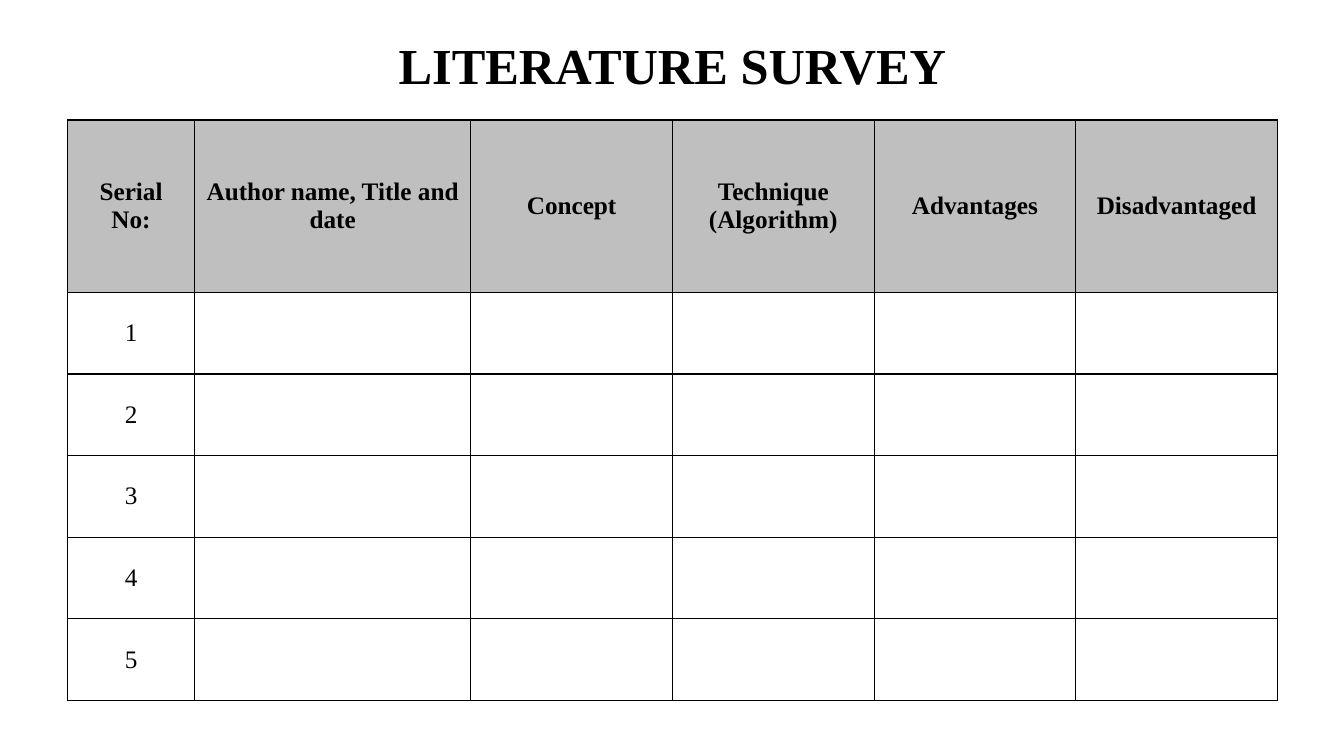
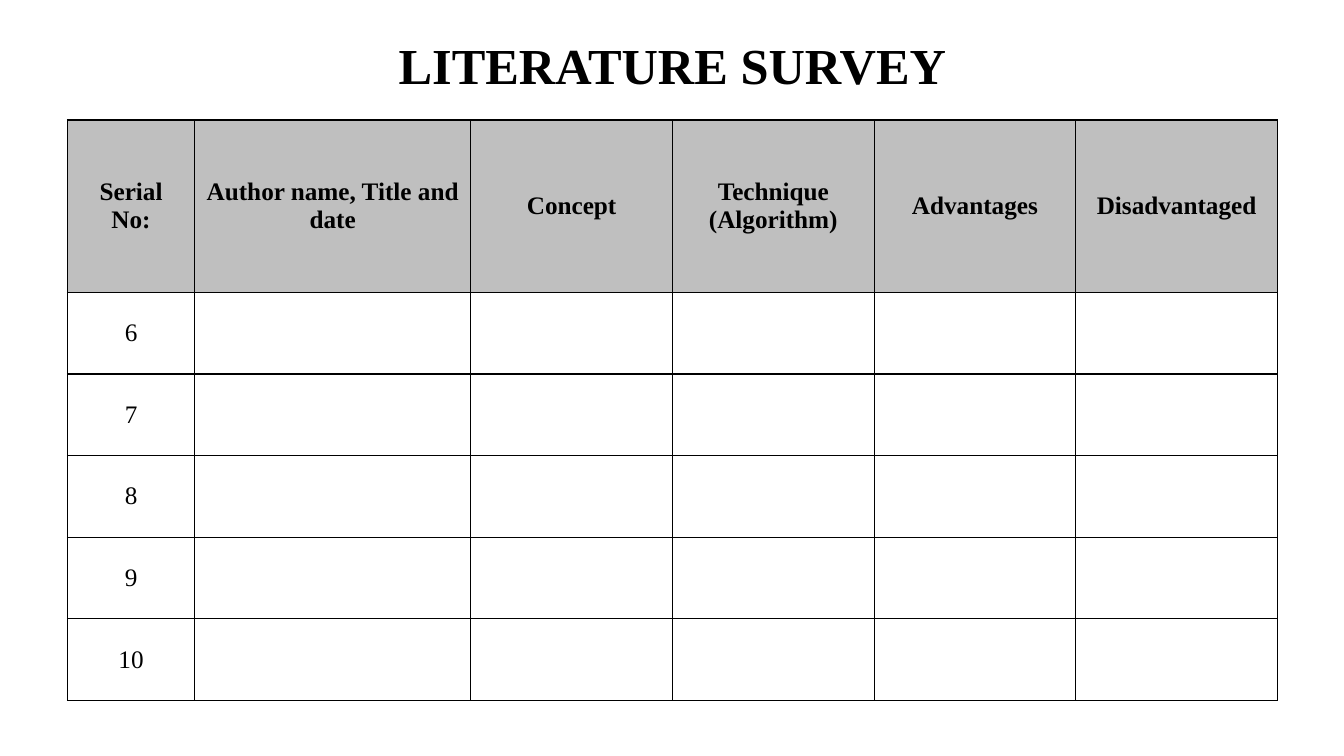
from dataclasses import dataclass

from lxml import etree
from pptx import Presentation
from pptx.dml.color import RGBColor
from pptx.enum.text import MSO_ANCHOR, PP_ALIGN
from pptx.oxml.ns import qn
from pptx.slide import Slide
from pptx.table import _Cell
from pptx.text.text import TextFrame
from pptx.util import Inches, Pt

CENTER = PP_ALIGN.CENTER
MIDDLE = MSO_ANCHOR.MIDDLE

COLORS = {"text": "000000", "border": "000000", "header": "BFBFBF"}
FONT = "Times New Roman"
TITLE_SIZE = 36
CELL_SIZE = 18
LEFT, WIDTH = 0.67, 12
BORDER_WIDTH = 1
HEADER_HEIGHT, ROW_HEIGHT = 1.71, 0.81
TABLE_TOP = 1.19
ROWS_PER_SLIDE = 5
FIRST_SERIALS = (1, 6)


@dataclass(frozen=True)
class Column:
    heading: str
    width: float = 2


COLUMNS = (
    Column("Serial No:", 1.26),
    Column("Author name, Title and date", 2.74),
    Column("Concept"),
    Column("Technique (Algorithm)"),
    Column("Advantages"),
    Column("Disadvantaged"),
)


def set_text(tf: TextFrame, text: str, size: float, bold: bool) -> None:
    tf.text = text
    p = tf.paragraphs[0]
    p.alignment = CENTER
    for r in p.runs:
        r.font.name = FONT
        r.font.size = Pt(size)
        r.font.bold = bold
        r.font.color.rgb = RGBColor.from_string(COLORS["text"])


def add_borders(cell: _Cell) -> None:
    """Outline all four sides; lines must precede the fill in tcPr."""
    tc_pr = cell._tc.get_or_add_tcPr()
    for i, side in enumerate(("lnL", "lnR", "lnT", "lnB")):
        ln = etree.Element(qn(f"a:{side}"), w=str(Pt(BORDER_WIDTH)))
        fill = etree.SubElement(ln, qn("a:solidFill"))
        etree.SubElement(fill, qn("a:srgbClr"), val=COLORS["border"])
        tc_pr.insert(i, ln)


def add_title(s: Slide, text: str) -> None:
    sp = s.shapes.add_textbox(Inches(LEFT), Inches(0.27), Inches(WIDTH), Inches(0.74))
    tf = sp.text_frame
    tf.word_wrap = True
    tf.vertical_anchor = MIDDLE
    set_text(tf, text, TITLE_SIZE, True)


def add_survey_table(s: Slide, first_serial: int) -> None:
    heights = [HEADER_HEIGHT] + [ROW_HEIGHT] * ROWS_PER_SLIDE
    table = s.shapes.add_table(
        len(heights), len(COLUMNS), Inches(LEFT), Inches(TABLE_TOP),
        Inches(WIDTH), Inches(sum(heights)),
    ).table
    table.horz_banding = False
    for row, height in zip(table.rows, heights):
        row.height = Inches(height)
    for i, column in enumerate(COLUMNS):
        table.columns[i].width = Inches(column.width)
        set_text(table.cell(0, i).text_frame, column.heading, CELL_SIZE, True)
    for i in range(ROWS_PER_SLIDE):
        set_text(table.cell(i + 1, 0).text_frame, str(first_serial + i), CELL_SIZE, False)
    for i, row in enumerate(table.rows):
        for cell in row.cells:
            cell.vertical_anchor = MIDDLE
            if i == 0:
                cell.fill.solid()
                cell.fill.fore_color.rgb = RGBColor.from_string(COLORS["header"])
            else:
                cell.fill.background()
            add_borders(cell)


def main() -> None:
    prs = Presentation()
    prs.slide_width, prs.slide_height = Inches(13.33), Inches(7.5)
    blank = prs.slide_layouts[6]
    for first_serial in FIRST_SERIALS:
        s = prs.slides.add_slide(blank)
        add_title(s, "LITERATURE SURVEY")
        add_survey_table(s, first_serial)
    prs.save("out.pptx")


if __name__ == "__main__":
    main()
